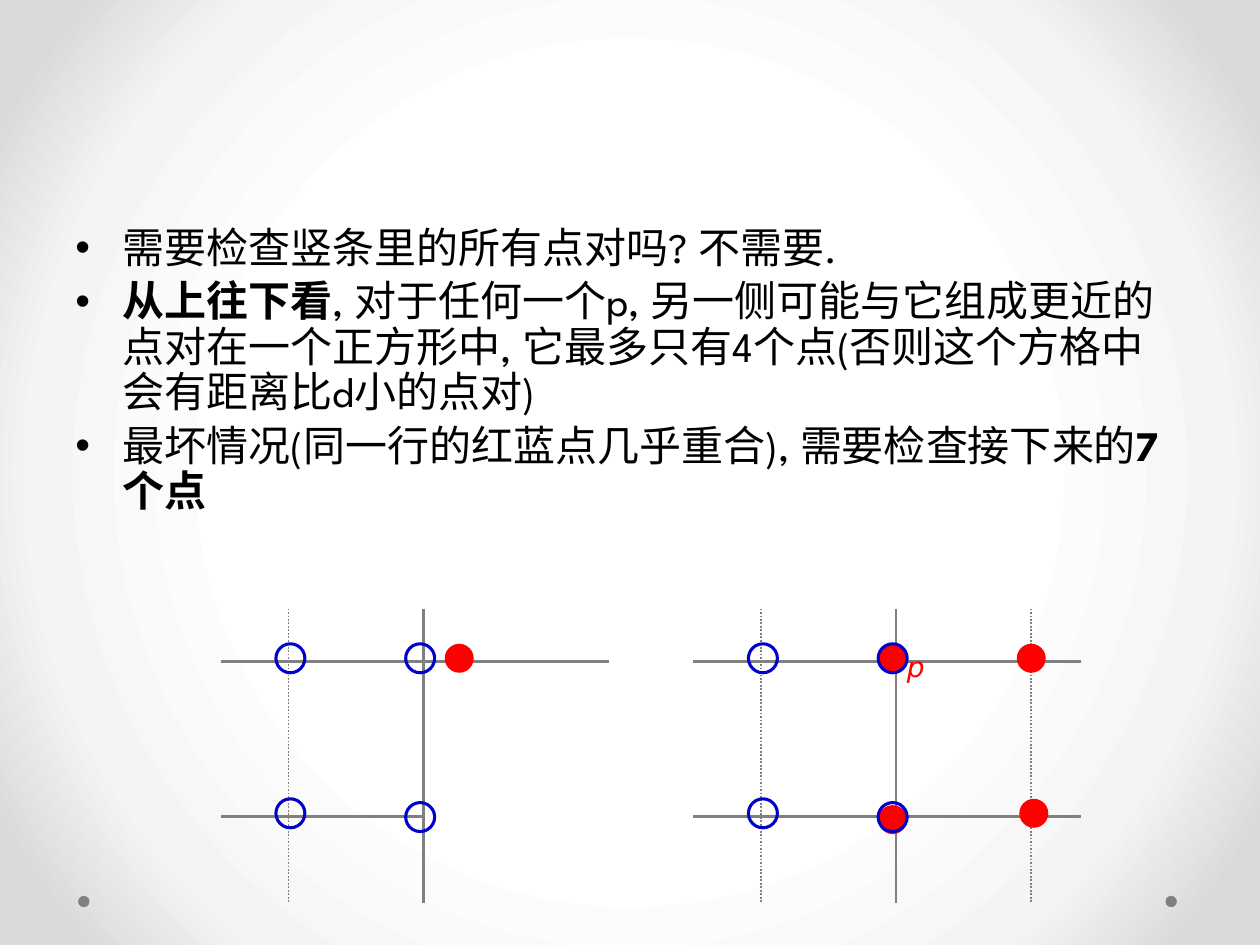
import pptx
import pptx.util
import pptx.dml.color
import pptx.enum.dml
import pptx.enum.shapes
import pptx.oxml
import pptx.oxml.ns
from dataclasses import dataclass
from lxml import etree

A = "http://schemas.openxmlformats.org/drawingml/2006/main"
SHAPE = pptx.enum.shapes.MSO_SHAPE
DOTTED = pptx.enum.dml.MSO_LINE.ROUND_DOT


@dataclass(frozen=True)
class Theme:
    """Colours, fonts and sizes; the grid is 100 columns by 75 rows."""
    ink: str = "000000"
    grey: str = "808080"
    red: str = "FF0000"
    blue: str = "0000CC"
    body_font: str = "League Spartan"
    label_font: str = "DejaVu Sans"
    body_size: int = 24
    label_size: int = 16
    dot: float = 2.3
    backdrop: tuple = ((50, "FFFFFF"), (76, "F4F4F4"), (92, "DADADA"))


T = Theme()


def grid(n):
    """Length of n grid cells, each a hundredth of the slide's width."""
    return pptx.util.Inches(n / 10)


def rgb(color):
    """Colour object from a hex string."""
    return pptx.dml.color.RGBColor.from_string(color)


def add_backdrop(slide):
    """Radial gradient from a white centre to grey corners."""
    slide.background.fill.gradient()
    stops = "".join(f'<a:gs pos="{pos * 1000}"><a:srgbClr val="{color}"/></a:gs>'
                    for pos, color in T.backdrop)
    new = pptx.oxml.parse_xml(
        f'<a:gradFill xmlns:a="{A}" rotWithShape="1"><a:gsLst>{stops}</a:gsLst>'
        '<a:path path="circle"><a:fillToRect l="50000" t="50000" r="50000" b="50000"/>'
        '</a:path></a:gradFill>')
    old = slide.element.find(".//" + pptx.oxml.ns.qn("a:gradFill"))
    old.getparent().replace(old, new)


def add_dot(shapes, x, y, fill=None, line=None, size=T.dot):
    """Circle centred on a grid point, filled or outlined."""
    sp = shapes.add_shape(SHAPE.OVAL, grid(x - size / 2), grid(y - size / 2),
                          grid(size), grid(size))
    sp.shadow.inherit = False
    if fill:
        sp.fill.solid()
        sp.fill.fore_color.rgb = rgb(fill)
    else:
        sp.fill.background()
    if line:
        sp.line.color.rgb = rgb(line)
        sp.line.width = pptx.util.Pt(1.75)
    else:
        sp.line.fill.background()


def add_line(shapes, x1, y1, x2, y2, dotted=False):
    """Grey line between two grid points."""
    line = shapes.add_connector(pptx.enum.shapes.MSO_CONNECTOR.STRAIGHT,
                                grid(x1), grid(y1), grid(x2), grid(y2))
    line.line.color.rgb = rgb(T.grey)
    line.line.width = pptx.util.Pt(1 if dotted else 1.5)
    if dotted:
        line.line.dash_style = DOTTED
    etree.SubElement(line.element.spPr, pptx.oxml.ns.qn("a:effectLst"))


def style(r, font, size, color):
    """Give a run its font, size and colour."""
    r.font.name = font
    r.font.size = pptx.util.Pt(size)
    r.font.color.rgb = rgb(color)


def add_bullets(slide, x, y, w, h, paragraphs):
    """Bulleted text; each paragraph is a list of (text, bold) runs."""
    tf = slide.shapes.add_textbox(grid(x), grid(y), grid(w), grid(h)).text_frame
    tf.word_wrap = True
    for i, runs in enumerate(paragraphs):
        p = tf.add_paragraph() if i else tf.paragraphs[0]
        p.line_spacing = 0.9
        p.space_before = pptx.util.Pt(T.body_size * 0.2)
        pPr = p._p.get_or_add_pPr()
        pPr.set("marL", str(grid(3.75)))
        pPr.set("indent", str(-grid(3.75)))
        etree.SubElement(pPr, pptx.oxml.ns.qn("a:buFont")).set("typeface", "Arial")
        etree.SubElement(pPr, pptx.oxml.ns.qn("a:buChar")).set("char", "•")
        for text, bold in runs:
            r = p.add_run()
            r.text = text
            r.font.bold = bold
            style(r, T.body_font, T.body_size, T.ink)


def add_label(shapes, x, y, w, h, text):
    """Red italic point name."""
    tf = shapes.add_textbox(grid(x), grid(y), grid(w), grid(h)).text_frame
    tf.word_wrap = False
    tf.text = text
    r = tf.paragraphs[0].runs[0]
    r.font.italic = True
    style(r, T.label_font, T.label_size, T.red)


def add_strip(slide, x, y, w, h, lower_end, dotted, red, label=None):
    """Strip around the dividing line, with blue points and the given red ones."""
    shapes = slide.shapes.add_group_shape().shapes
    middle, upper, lower = 16.1, 4.2, 16.5
    add_line(shapes, x + middle, y, x + middle, y + h)
    add_line(shapes, x, y + upper, x + w, y + upper)
    add_line(shapes, x, y + lower, x + lower_end, y + lower)
    for dx in dotted:
        add_line(shapes, x + dx, y, x + dx, y + h, dotted=True)
    for dx, dy in red:
        add_dot(shapes, x + dx, y + dy, fill=T.red)
    for dx, dy in ((5.55, 3.95), (5.55, 16.25), (15.85, 16.55), (15.85, 3.95)):
        add_dot(shapes, x + dx, y + dy, line=T.blue)
    if label:
        add_label(shapes, x + 16, y + 2.8, 3.4, 3.7, label)


prs = pptx.Presentation()
prs.slide_width, prs.slide_height = grid(100), grid(75)
slide = prs.slides.add_slide(prs.slide_layouts[6])
add_backdrop(slide)
for x in (92.95, 6.65):
    add_dot(slide.shapes, x, 71.55, fill=T.grey, size=0.9)

add_bullets(slide, 5, 17.5, 90, 49.5, [
    [("需要检查竖条里的所有点对吗? 不需要.", False)],
    [("从上往下看", True),
     (", 对于任何一个p, 另一侧可能与它组成更近的点对在一个正方形中, "
      "它最多只有4个点(否则这个方格中会有距离比d小的点对)", False)],
    [("最坏情况(同一行的红蓝点几乎重合), 需要检查接下来的", False),
     ("7个点", True)],
])

add_strip(slide, 17.5, 48.3, 30.8, 23.4, lower_end=16.1, dotted=[5.4],
          red=[(18.95, 3.95)])
add_strip(slide, 55, 48.3, 30.8, 23.4, lower_end=30.8, dotted=[5.4, 26.8],
          red=[(15.85, 3.95), (15.85, 16.75), (26.85, 3.95), (27.05, 16.25)],
          label="p")

prs.save("out.pptx")
